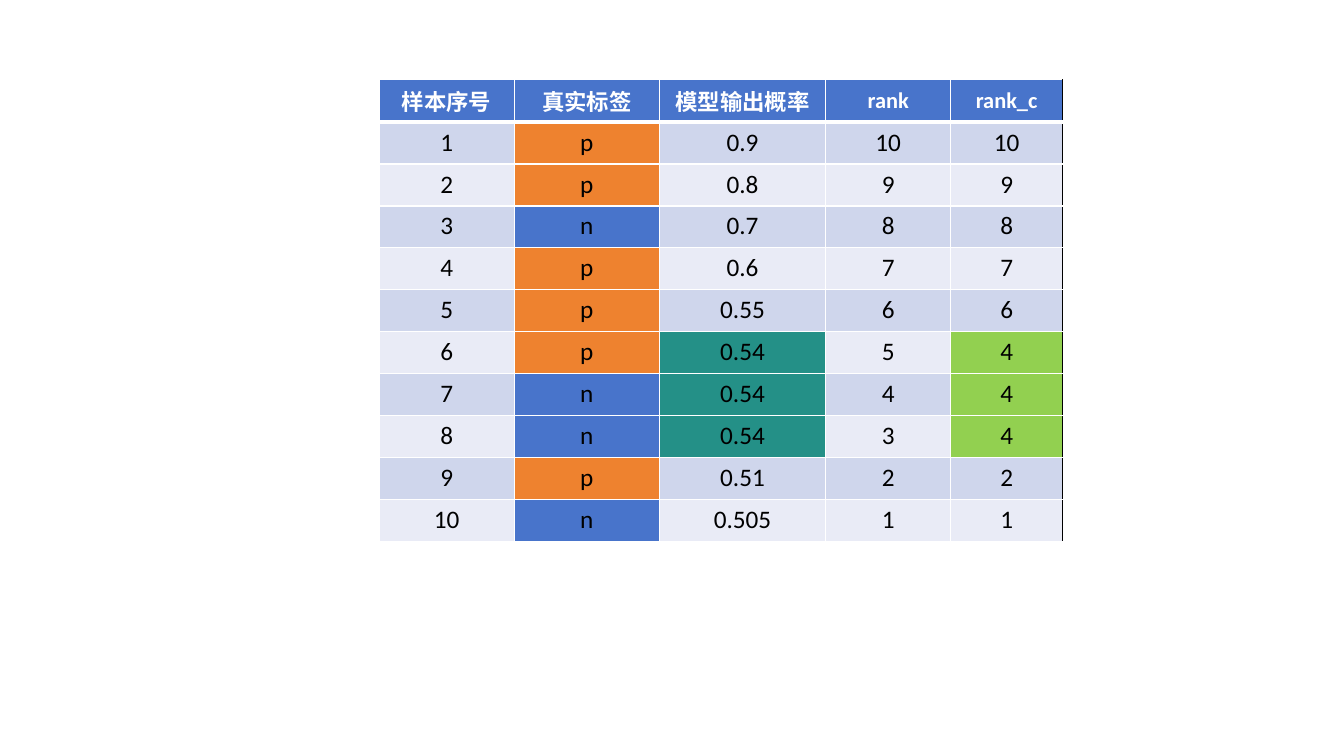
from lxml import etree
from pptx import Presentation
from pptx import util as u
from pptx.dml import color
from pptx.enum import text
from pptx.oxml import ns

COLORS = {
    "header": "4874CB", "odd": "CFD6EC", "even": "E9EBF6",
    "p": "EE822F", "n": "4874CB", "tied": "249087", "tied_rank": "92D050",
    "white": "FFFFFF", "black": "000000",
}
HEADERS = ["样本序号", "真实标签", "模型输出概率", "rank", "rank_c"]
LABELS = "pppppppppp".replace("pppppppppp", "ppnpppnnpn")
SCORES = ["0.9", "0.8", "0.7", "0.6", "0.55", "0.54", "0.54", "0.54", "0.51", "0.505"]
COLUMN_WIDTHS = [1.34, 1.44, 1.65, 1.24, 1.11]
TABLE_HEIGHT = 4.58


def add_border(cell, side, hex_color, points):
    properties = cell._tc.get_or_add_tcPr()
    line = etree.SubElement(properties, ns.qn(f"a:ln{side}"), w=str(u.Pt(points)))
    fill = etree.SubElement(line, ns.qn("a:solidFill"))
    etree.SubElement(fill, ns.qn("a:srgbClr"), val=hex_color)


presentation = Presentation()
presentation.slide_width = u.Inches(13.33)
presentation.slide_height = u.Inches(7.5)
slide = presentation.slides.add_slide(presentation.slide_layouts[6])

# Rows: tied scores share the mean of their ranks
rows = [HEADERS]
count = len(SCORES)
for index, score in enumerate(SCORES):
    tied_ranks = [count - i for i, other in enumerate(SCORES) if other == score]
    mean_rank = sum(tied_ranks) // len(tied_ranks)
    rows.append([str(index + 1), LABELS[index], score, str(count - index), str(mean_rank)])

# Table grid
table = slide.shapes.add_table(
    len(rows), len(HEADERS), u.Inches(3.76), u.Inches(0.79),
    u.Inches(sum(COLUMN_WIDTHS)), u.Inches(TABLE_HEIGHT)).table
for column, width in zip(table.columns, COLUMN_WIDTHS):
    column.width = u.Inches(width)
for row in table.rows:
    row.height = u.Inches(TABLE_HEIGHT / len(rows))

# Cells: text, borders and fill
for r, values in enumerate(rows):
    is_header = r == 0
    is_tied = SCORES.count(values[2]) > 1
    for c, value in enumerate(values):
        cell = table.cell(r, c)
        cell.vertical_anchor = text.MSO_ANCHOR.MIDDLE if is_header else text.MSO_ANCHOR.TOP
        paragraph = cell.text_frame.paragraphs[0]
        paragraph.alignment = text.PP_ALIGN.CENTER
        run = paragraph.add_run()
        run.text = value
        font_format = {"name": "Calibri", "size": u.Pt(16 if is_header else 18), "bold": is_header}
        for name, setting in font_format.items():
            setattr(run.font, name, setting)
        run.font.color.rgb = color.RGBColor.from_string(COLORS["white" if is_header else "black"])

        add_border(cell, "L", COLORS["white"], 1)
        add_border(cell, "R", COLORS["black" if c == len(HEADERS) - 1 else "white"], 1)
        add_border(cell, "T", COLORS["white"], 3 if r == 1 else 1)
        add_border(cell, "B", COLORS["white"], 3 if is_header else 1)

        fill_name = "header" if is_header else "odd" if r % 2 else "even"
        if not is_header and c == 1:
            fill_name = value
        elif is_tied and c in (2, 4):
            fill_name = "tied" if c == 2 else "tied_rank"
        cell.fill.solid()
        cell.fill.fore_color.rgb = color.RGBColor.from_string(COLORS[fill_name])

presentation.save("out.pptx")
